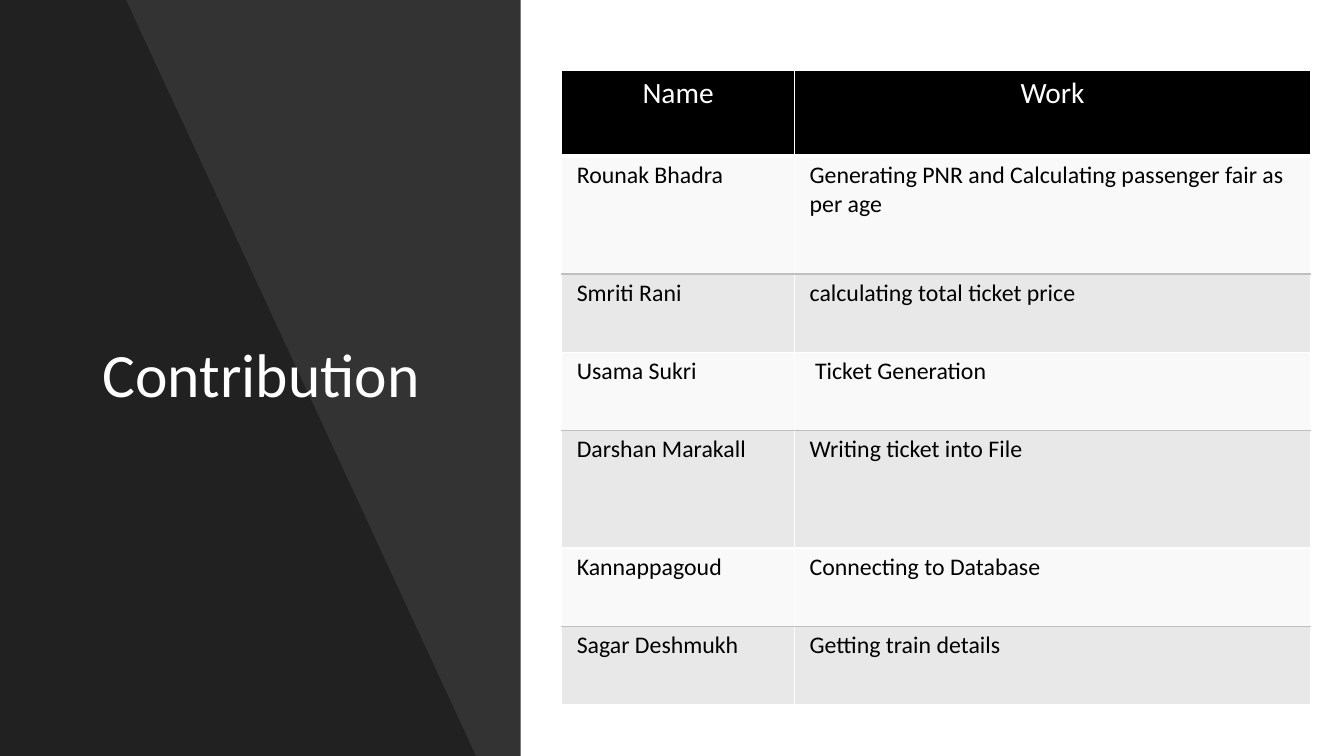
from lxml import etree
from pptx import Presentation, util as u
from pptx.dml.color import RGBColor
from pptx.enum import shapes, text
from pptx.oxml.ns import qn

WORK = [
    ("Name", "Work"),
    ("Rounak Bhadra", "Generating PNR and Calculating passenger fair as per age"),
    ("Smriti Rani", "calculating total ticket price"),
    ("Usama Sukri", " Ticket Generation"),
    ("Darshan Marakall", "Writing ticket into File"),
    ("Kannappagoud", "Connecting to Database"),
    ("Sagar Deshmukh", "Getting train details"),
]
COLS = [17.33, 38.41]
LOW, HIGH = 10.33, 15.6
ROWS = [11.33, HIGH, LOW, LOW, HIGH, LOW, LOW]


def tint(hue):
    return RGBColor.from_string(hue)


class Deck:
    """Draws styled elements on a slide, with lengths in percent of its size."""

    font, dark, light, rule = "Calibri", "000000", "FFFFFF", "BFBFBF"

    def __init__(self):
        self.prs = Presentation()
        self.prs.slide_width = u.Inches(13.33)
        self.prs.slide_height = u.Inches(7.5)
        self.slide = self.prs.slides.add_slide(self.prs.slide_layouts[6])
        self.shapes = self.slide.shapes

    def wide(self, share):
        return int(self.prs.slide_width * share / 100)

    def tall(self, share):
        return int(self.prs.slide_height * share / 100)

    def box(self, x, y, w, h):
        return self.wide(x), self.tall(y), self.wide(w), self.tall(h)

    def paint(self, fill, hue, solid=100):
        fill.solid()
        fill.fore_color.rgb = tint(hue)
        if solid < 100:
            node = fill._xPr.find(qn("a:solidFill"))[0]
            etree.SubElement(node, qn("a:alpha"), val=str(solid * 1000))

    def finish(self, shape, hue, solid):
        shape.shadow.inherit = False
        shape.line.fill.background()
        self.paint(shape.fill, hue, solid)

    def panel(self, area, hue, solid):
        kind = shapes.MSO_SHAPE.RECTANGLE
        self.finish(self.shapes.add_shape(kind, *self.box(*area)), hue, solid)

    def outline(self, points, hue, solid):
        spots = [(self.wide(x), self.tall(y)) for x, y in points]
        form = self.shapes.build_freeform(*spots[0])
        form.add_line_segments(spots[1:], close=True)
        self.finish(form.convert_to_shape(), hue, solid)

    def label(self, para, words, size, hue):
        run = para.add_run()
        run.text = words
        run.font.name = self.font
        run.font.size = u.Pt(size)
        run.font.color.rgb = tint(hue)

    def title(self, area, words):
        frame = self.shapes.add_textbox(*self.box(*area)).text_frame
        frame.word_wrap = True
        frame.vertical_anchor = text.MSO_ANCHOR.MIDDLE
        para = frame.paragraphs[0]
        para.line_spacing = 0.9
        self.label(para, words, 44, self.light)

    def edge(self, cell, side, hue, width):
        line = etree.SubElement(cell._tc.get_or_add_tcPr(), qn("a:ln" + side),
                                w=str(u.Pt(width)))
        fill = etree.SubElement(line, qn("a:solidFill"))
        etree.SubElement(fill, qn("a:srgbClr"), val=hue)

    def cell(self, cell, row, words):
        head, band = row == 0, row % 2 == 0
        top = 1.47 if head else 3 if row == 1 else 0.96
        self.edge(cell, "L", self.light, 0.96)
        self.edge(cell, "R", self.light, 0.96)
        self.edge(cell, "T", self.rule if band and not head else self.light, top)
        self.edge(cell, "B", self.light if band else self.rule, 3 if head else 0.96)
        cell.margin_left = cell.margin_right = u.Inches(0.15)
        cell.margin_top = cell.margin_bottom = u.Inches(0.05)
        para = cell.text_frame.paragraphs[0]
        if head:
            para.alignment = text.PP_ALIGN.CENTER
            self.paint(cell.fill, self.dark)
            self.label(para, words, 21, self.light)
        else:
            self.paint(cell.fill, *((self.rule, 35) if band else ("F2F2F2", 45)))
            self.label(para, words, 17, self.dark)

    def table(self, x, y, cols, rows, data):
        area = self.box(x, y, sum(cols), sum(rows))
        grid = self.shapes.add_table(len(rows), len(cols), *area).table
        grid.first_row = grid.horz_banding = False
        for col, share in zip(grid.columns, cols):
            col.width = self.wide(share)
        for row, share in zip(grid.rows, rows):
            row.height = self.tall(share)
        for r, line in enumerate(data):
            for c, words in enumerate(line):
                self.cell(grid.cell(r, c), r, words)


def main():
    deck = Deck()
    deck.panel((0, 0, 38.75, 100), deck.dark, 80)
    deck.outline([(0, 0), (9.38, 0), (35.41, 100), (0, 100)], deck.dark, 35)
    deck.title((6.9, 27.87, 26.86, 44.13), "Contribution")
    deck.table(41.79, 9.33, COLS, ROWS, WORK)
    deck.prs.save("out.pptx")


if __name__ == "__main__":
    main()
